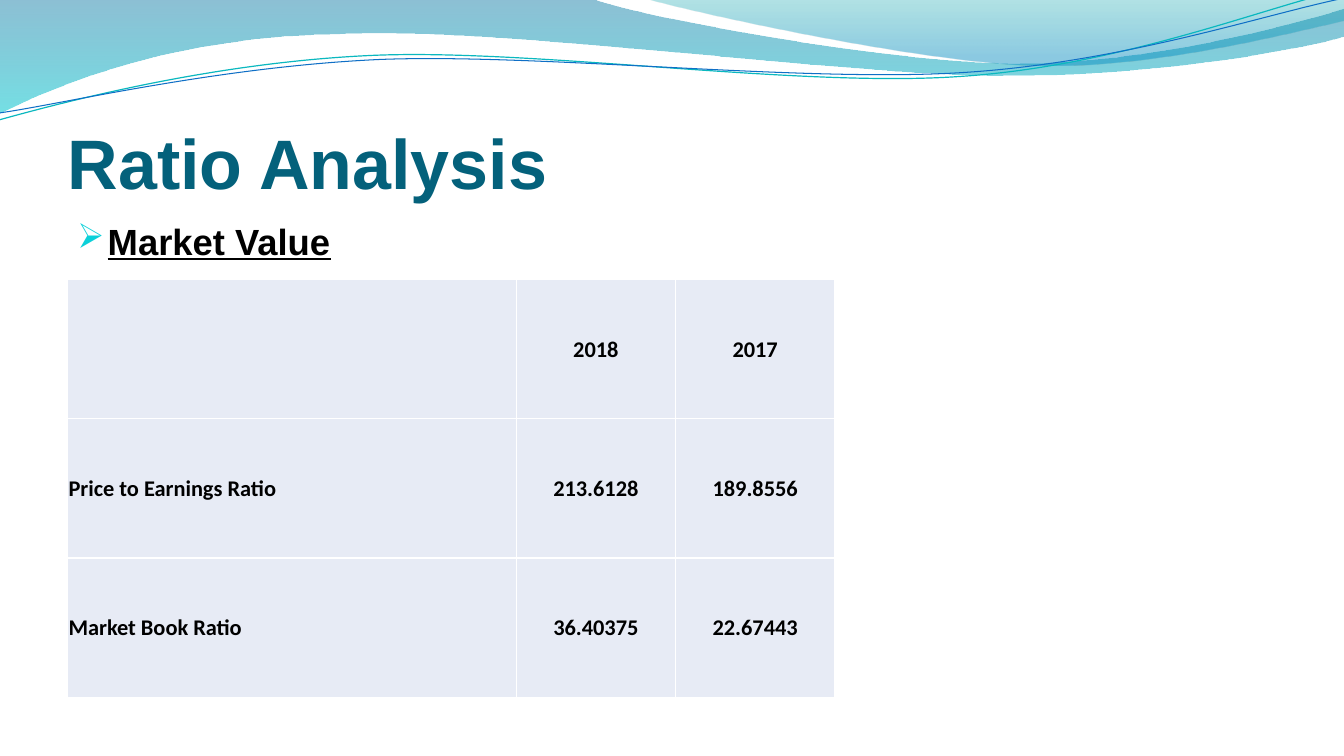
from math import cos, radians, sin

from lxml.etree import SubElement
from pptx import Presentation
from pptx.dml.color import RGBColor
from pptx.enum.text import MSO_ANCHOR, PP_ALIGN
from pptx.oxml import parse_xml
from pptx.oxml.ns import nsdecls, qn
from pptx.util import Inches, Pt

COLORS = {
    "title": "04617B", "text": "000000", "bullet": "0BD0D9",
    "cell": "E7EBF5", "border": "FFFFFF",
    "wave_top": "0074A1", "wave_bottom": "00C6CF",
    "crest_top": "00A1A9", "crest_bottom": "008BBF",
    "teal_line": "0AB8BF", "blue_line": "0F6FC6",
}
WAVE_TILT = -2.7

deck = Presentation()
deck.slide_width, deck.slide_height = Inches(13.33), Inches(7.5)
page = deck.slides.add_slide(deck.slide_layouts[6])


def add_curve(segments, close):
    """Draw straight (2 numbers) and cubic (6 numbers) segments as one freeform."""
    points = [(Inches(segment[i]), Inches(segment[i + 1]))
              for segment in segments for i in range(0, len(segment), 2)]
    builder = page.shapes.build_freeform(*points[0])
    builder.add_line_segments(points[1:], close=close)
    shape = builder.convert_to_shape()
    shape.shadow.inherit = False
    lines = iter(list(shape.element.iter(qn("a:lnTo"))))
    for segment in segments[1:]:
        steps = [next(lines) for _ in range(len(segment) // 2)]
        if len(steps) == 3:
            curve = parse_xml(f'<a:cubicBezTo {nsdecls("a")}/>')
            steps[0].addprevious(curve)
            for step in steps:
                curve.append(step[0])
                step.getparent().remove(step)
    return shape


def add_span(para, text, size, font, color):
    """Add one bold run to a paragraph."""
    span = para.add_run()
    span.text = text
    span.font.size, span.font.name, span.font.bold = Pt(size), font, True
    span.font.color.rgb = RGBColor.from_string(COLORS[color])
    return span


# Wave bands: outline, then gradient stops as (position, colour, opacity %)
bands = [
    ([(0, 0), (5.87, -0.01), (6.34, 0.17, 8.85, 0.63, 10.11, 0.63),
      (11.38, 0.63, 12.78, 0.26, 13.33, 0.09), (13.35, 0.36),
      (13.11, 0.44, 11.6, 0.76, 9.94, 0.75), (8.29, 0.75, 5.09, 0.28, 3.43, 0.34),
      (1.72, 0.36, 0.61, 0.83, -0.01, 1.13), (0, 0)],
     [(0, "wave_top", 45), (1, "wave_bottom", 55)]),
    ([(6.39, -0.01), (6.79, 0.11, 9.09, 0.62, 10.25, 0.65),
      (11.41, 0.69, 12.82, 0.32, 13.33, 0.21), (13.33, 0), (6.39, -0.01)],
     [(0, "crest_top", 30), (0.8, "crest_bottom", 45)]),
]
for outline, stops in bands:
    band = add_curve(outline, True)
    band.line.fill.background()
    band.fill.gradient()
    band.fill.gradient_angle = 270
    for stop, (position, color, opacity) in zip(band.fill.gradient_stops, stops):
        stop.position = position
        stop.color.rgb = RGBColor.from_string(COLORS[color])
    tones = band.element.spPr.find(qn("a:gradFill")).iter(qn("a:srgbClr"))
    for tone, (position, color, opacity) in zip(list(tones), stops):
        SubElement(tone, qn("a:alpha")).set("val", str(opacity * 1000))

# Thin wave lines: colour, width, centre of the tilt, outline as seen
wave_lines = [
    ("teal_line", 0.85, (6.65, 0.58),
     [(-0.01, 1.19), (0.64, 1.01, 2.11, 0.62, 3.69, 0.55),
      (5.27, 0.48, 7.9, 0.87, 9.5, 0.76), (11.1, 0.66, 12.52, 0.08, 13.31, -0.1)]),
    ("blue_line", 0.75, (6.67, 0.59),
     [(0, 1.12), (0.63, 1.03, 2.18, 0.66, 3.78, 0.59),
      (5.37, 0.53, 7.96, 0.82, 9.55, 0.72), (11.15, 0.62, 12.55, 0.14, 13.34, -0.02)]),
]
cosine, sine = cos(radians(-WAVE_TILT)), sin(radians(-WAVE_TILT))
for color, width, (middle_x, middle_y), outline in wave_lines:
    level = []
    for segment in outline:
        flat = []
        for x, y in zip(segment[::2], segment[1::2]):
            across, down = x - middle_x, y - middle_y
            flat += [middle_x + across * cosine - down * sine,
                     middle_y + across * sine + down * cosine]
        level.append(flat)
    wave = add_curve(level, False)
    wave.rotation = WAVE_TILT
    wave.fill.background()
    wave.line.color.rgb = RGBColor.from_string(COLORS[color])
    wave.line.width = Pt(width)

# Title
title = page.shapes.add_textbox(Inches(0.67), Inches(0.77), Inches(12), Inches(1.25)).text_frame
title.word_wrap = True
title.vertical_anchor = MSO_ANCHOR.BOTTOM
title.margin_left = title.margin_right = title.margin_bottom = 0
add_span(title.paragraphs[0], "Ratio Analysis", 50, "Arial", "title")

# Bulleted heading
body = page.shapes.add_textbox(Inches(0.67), Inches(2.12), Inches(12), Inches(4.8)).text_frame
body.word_wrap = True
heading = body.paragraphs[0]
heading.space_before = Pt(4.5)
add_span(heading, "Market Value", 26, "Arial", "text").font.underline = True
bullet = heading._p.get_or_add_pPr()
bullet.set("marL", str(Inches(0.3)))
bullet.set("indent", str(Inches(-0.3)))
SubElement(SubElement(bullet, qn("a:buClr")), qn("a:srgbClr")).set("val", COLORS["bullet"])
SubElement(bullet, qn("a:buSzPct")).set("val", "95000")
arrow_font = SubElement(bullet, qn("a:buFont"))
arrow_font.set("typeface", "Wingdings")
arrow_font.set("charset", "2")
SubElement(bullet, qn("a:buChar")).set("char", "Ø")

# Ratio table
ratios = [
    ("", "2018", "2017"),
    ("Price to Earnings Ratio", "213.6128", "189.8556"),
    ("Market Book Ratio", "36.40375", "22.67443"),
]
table = page.shapes.add_table(3, 3, Inches(0.67), Inches(2.77), Inches(7.61), Inches(4.15)).table
for column, width in zip(table.columns, (4.45, 1.58, 1.58)):
    column.width = Inches(width)
for row, texts in enumerate(ratios):
    table.rows[row].height = Inches(4.15 / 3)
    for col, text in enumerate(texts):
        cell = table.cell(row, col)
        cell.fill.solid()
        cell.fill.fore_color.rgb = RGBColor.from_string(COLORS["cell"])
        cell.vertical_anchor = MSO_ANCHOR.MIDDLE
        cell.margin_left = cell.margin_right = cell.margin_top = Inches(0.01)
        cell.margin_bottom = 0
        for place, side in enumerate(("lnL", "lnR", "lnT", "lnB")):
            cell._tc.get_or_add_tcPr().insert(place, parse_xml(
                f'<a:{side} {nsdecls("a")} w="{Pt(1)}"><a:solidFill>'
                f'<a:srgbClr val="{COLORS["border"]}"/></a:solidFill></a:{side}>'))
        if text:
            para = cell.text_frame.paragraphs[0]
            para.alignment = PP_ALIGN.CENTER if col else PP_ALIGN.LEFT
            add_span(para, text, 16, "Calibri", "text")

deck.save("out.pptx")
